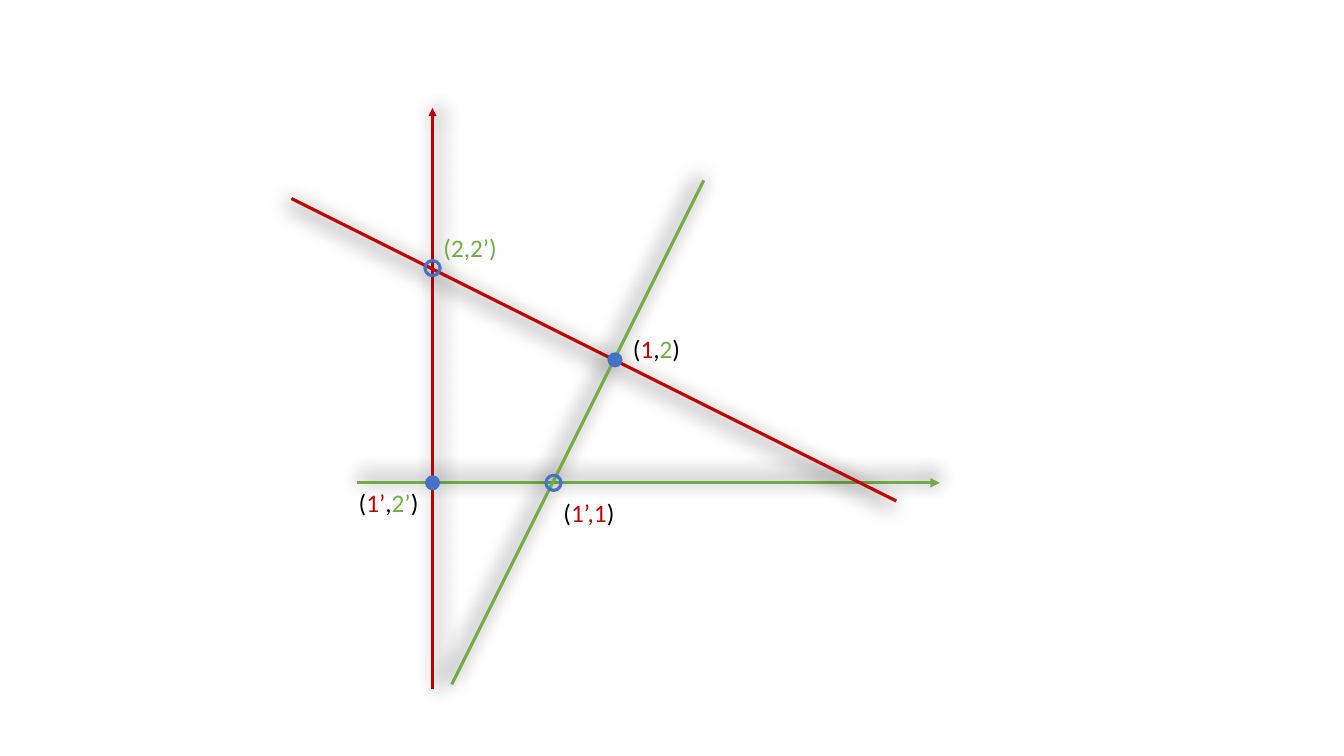
from lxml import etree
from pptx import Presentation
from pptx.dml.color import RGBColor
from pptx.enum.shapes import MSO_CONNECTOR as CONN, MSO_SHAPE as SHAPE
from pptx.enum.text import MSO_AUTO_SIZE as AUTO
from pptx.oxml import parse_xml
from pptx.oxml.ns import nsdecls, qn
from pptx.util import Inches, Pt

BLACK = RGBColor(0x00, 0x00, 0x00)
RED = RGBColor(0xC0, 0x00, 0x00)
GREEN = RGBColor(0x70, 0xAD, 0x47)
BLUE = RGBColor(0x44, 0x72, 0xC4)

DOT = 0.15  # point diameter

# Distances from the crossing of the axes: start, end, colour, width, arrow, shadow angle
LINES = [
    ((-0.75, 0), (5.03, 0), GREEN, 2.25, True, 270),
    ((0, 2.05), (0, -3.72), RED, 1.5, True, 0),
    ((-1.4, -2.82), (4.6, 0.18), RED, 2.25, False, 135),
    ((0.19, 2), (2.69, -3), GREEN, 2.25, False, 225),
]
# Centre, filled
POINTS = [((0, 0), True), ((1.2, 0), False), ((1.81, -1.22), True), ((0, -2.13), False)]
# Top left corner, width, coloured pieces
LABELS = [
    ((-0.83, 0), 0.86, [("(", BLACK), ("1’", RED), (",", BLACK), ("2’", GREEN), (")", BLACK)]),
    ((1.2, 0.09), 0.86, [("(", BLACK), ("1’,1", RED), (")", BLACK)]),
    ((1.89, -1.53), 0.86, [("(", BLACK), ("1", RED), (",", BLACK), ("2", GREEN), (")", BLACK)]),
    ((0.01, -2.53), 0.88, [("(2,2’)", GREEN)]),
]


def add_line(s, start, end, color, width, arrow, angle):
    """Draw a line with a soft shadow cast towards angle (degrees)."""
    ln = s.shapes.add_connector(CONN.STRAIGHT, *map(Inches, start + end))
    ln.line.color.rgb = color
    ln.line.width = Pt(width)
    props = ln._element.spPr
    if arrow:
        etree.SubElement(props.find(qn("a:ln")), qn("a:tailEnd"), type="triangle")
    props.append(parse_xml(
        f'<a:effectLst {nsdecls("a")}>'
        f'<a:outerShdw blurRad="{Pt(15)}" dist="{Pt(4)}" dir="{angle * 60000}" rotWithShape="0">'
        '<a:srgbClr val="000000"/></a:outerShdw></a:effectLst>'))


def add_point(s, x, y, filled):
    sp = s.shapes.add_shape(SHAPE.OVAL, Inches(x - DOT / 2), Inches(y - DOT / 2),
                            Inches(DOT), Inches(DOT))
    sp.shadow.inherit = False
    if filled:
        sp.fill.solid()
        sp.fill.fore_color.rgb = BLUE
        sp.line.fill.background()
    else:
        sp.fill.background()
        sp.line.color.rgb = BLUE
        sp.line.width = Pt(2.25)


def add_text(s, x, y, w, pieces, h=0.4, size=18, font="Calibri"):
    tb = s.shapes.add_textbox(Inches(x), Inches(y), Inches(w), Inches(h))
    tf = tb.text_frame
    tf.word_wrap = True
    tf.auto_size = AUTO.SHAPE_TO_FIT_TEXT
    for text, color in pieces:
        r = tf.paragraphs[0].add_run()
        r.text = text
        r.font.name = font
        r.font.size = Pt(size)
        r.font.color.rgb = color


def draw_axes_diagram(s, x0, y0):
    """Draw the lines, points and labels around the axis crossing (x0, y0)."""
    def place(offset):
        return x0 + offset[0], y0 + offset[1]

    for start, end, *style in LINES:
        add_line(s, place(start), place(end), *style)
    for center, filled in POINTS:
        add_point(s, *place(center), filled)
    for corner, width, pieces in LABELS:
        add_text(s, *place(corner), width, pieces)


def main():
    prs = Presentation()
    prs.slide_width, prs.slide_height = Inches(13.33), Inches(7.5)
    s = prs.slides.add_slide(prs.slide_layouts[6])
    draw_axes_diagram(s, 4.29, 4.79)
    prs.save("out.pptx")


if __name__ == "__main__":
    main()
